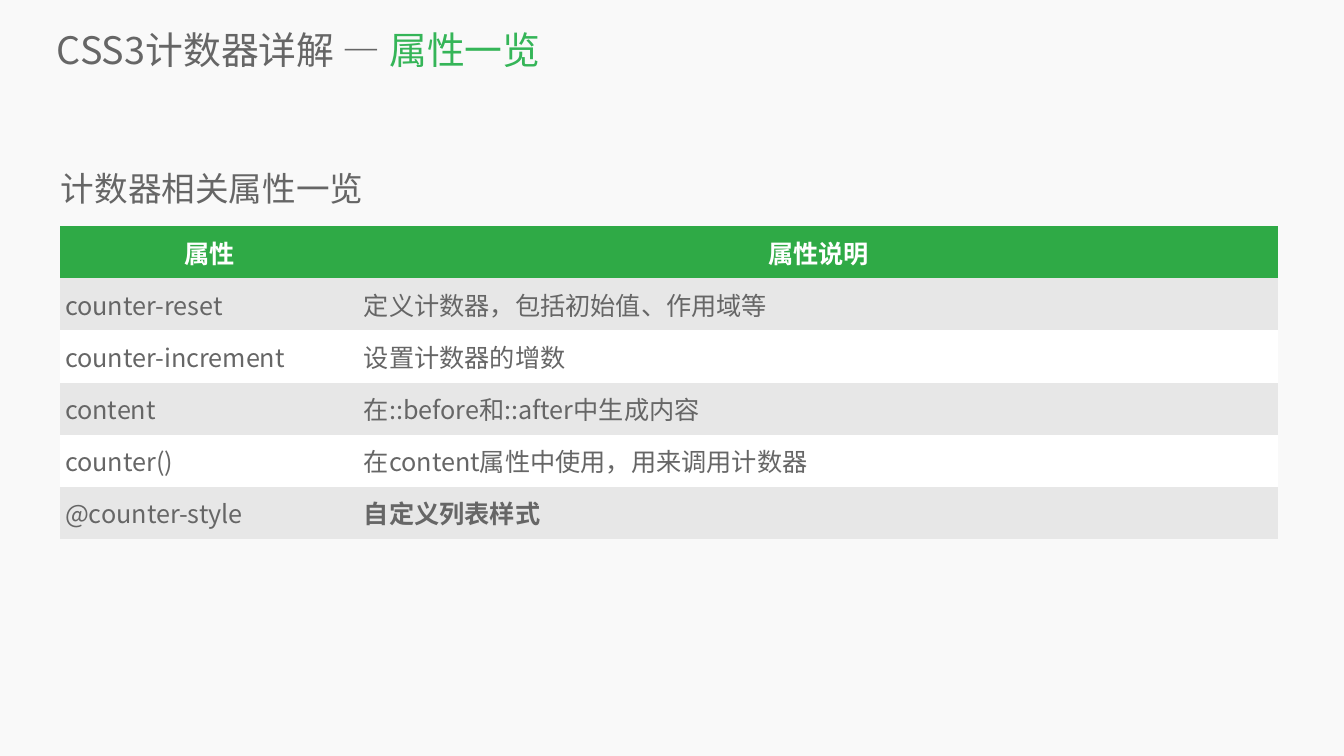
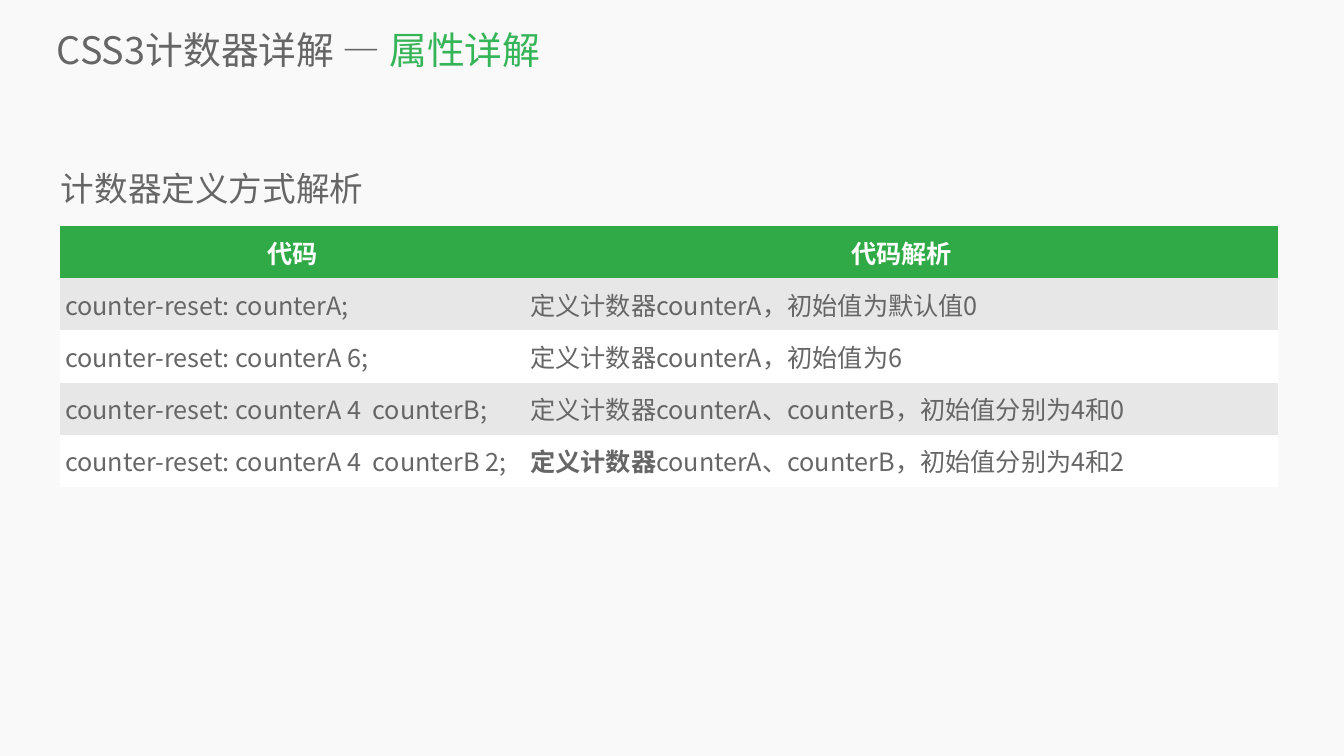
"""Build two slides on CSS counters, each with a title, a heading and a table."""
from pptx import Presentation
from pptx.dml.color import RGBColor
from pptx.enum.lang import MSO_LANGUAGE_ID as Lang
from pptx.enum.text import MSO_ANCHOR as Anchor, MSO_AUTO_SIZE as Fit, PP_ALIGN as Align
from pptx.oxml.ns import qn
from pptx.util import Pt
from lxml.etree import SubElement

FACE = "Noto Sans CJK SC"
GREY, GREEN, LEAF, WHITE = "666666", "2FAA46", "35B558", "FFFFFF"
BANDS = ["E7E7E7", WHITE]
PLAIN = "{2D5ABB26-0587-4C30-8999-92F81FD0307C}"
WIDTH, ROW = 1740.5, 74.4

PAGES = [
    ("属性一览", "计数器相关属性一览", 427, [
        ("属性", "属性说明"),
        ("counter-reset", "定义计数器，包括初始值、作用域等"),
        ("counter-increment", "设置计数器的增数"),
        ("content", "在::before和::after中生成内容"),
        ("counter()", "在content属性中使用，用来调用计数器"),
        ("@counter-style", "自定义列表样式"),
    ], "自定义列表样式"),
    ("属性详解", "计数器定义方式解析", 664.6, [
        ("代码", "代码解析"),
        ("counter-reset: counterA;", "定义计数器counterA，初始值为默认值0"),
        ("counter-reset: counterA 6;", "定义计数器counterA，初始值为6"),
        ("counter-reset: counterA 4  counterB;",
         "定义计数器counterA、counterB，初始值分别为4和0"),
        ("counter-reset: counterA 4  counterB 2;",
         "定义计数器counterA、counterB，初始值分别为4和2"),
    ], "定义计数器"),
]


def tint(code):
    return RGBColor.from_string(code)


def write(frame, text, size=36, color=GREY, bold=False, align=Align.LEFT):
    para = frame.paragraphs[0]
    para.alignment = align
    run = para.add_run()
    run.text = text
    font = run.font
    font.name, font.size, font.bold = FACE, Pt(size), bold
    font.color.rgb = tint(color)
    font.language_id = Lang.SIMPLIFIED_CHINESE
    SubElement(run.font._element, qn("a:ea"), typeface=FACE)


deck = Presentation()
deck.slide_width, deck.slide_height = Pt(1920), Pt(1080)

for topic, head, first, rows, strong in PAGES:
    slide = deck.slides.add_slide(deck.slide_layouts[6])
    back = slide.background.fill
    back.solid()
    back.fore_color.rgb = tint("F9F9F9")

    title = slide.shapes.add_textbox(Pt(81.4), Pt(33.8), Pt(1811.5), Pt(73.4)).text_frame
    title.word_wrap = True
    title.vertical_anchor = Anchor.MIDDLE
    title.margin_left = title.margin_right = title.margin_top = title.margin_bottom = 0
    write(title, "CSS3计数器详解 — ", size=54)
    write(title, topic, size=54, color=LEAF)

    grid = slide.shapes.add_table(len(rows), 2, Pt(85.7), Pt(323.3),
                                  Pt(WIDTH), Pt(ROW * len(rows)))
    next(grid.element.iter(qn("a:tableStyleId"))).text = PLAIN
    table = grid.table
    table.horz_banding = False
    table.columns[0].width, table.columns[1].width = Pt(first), Pt(WIDTH - first)
    for r, row in enumerate(rows):
        table.rows[r].height = Pt(ROW)
        for c, text in enumerate(row):
            cell = table.cell(r, c)
            cell.vertical_anchor = Anchor.MIDDLE
            cell.fill.solid()
            cell.fill.fore_color.rgb = tint(BANDS[(r - 1) % 2] if r else GREEN)
            if r == 0:
                write(cell.text_frame, text, color=WHITE, bold=True, align=Align.CENTER)
            elif r == len(rows) - 1 and c == 1:
                write(cell.text_frame, strong, bold=True)
                rest = text.removeprefix(strong)
                if rest:
                    write(cell.text_frame, rest)
            else:
                write(cell.text_frame, text)

    label = slide.shapes.add_textbox(Pt(64.8), Pt(213.8), Pt(465.8), Pt(88.6)).text_frame
    label.word_wrap = False
    label.auto_size = Fit.SHAPE_TO_FIT_TEXT
    label.paragraphs[0].line_spacing = 1.4
    write(label, head, size=48)
    props = label.paragraphs[0]._p.get_or_add_pPr()
    props.set("marL", str(Pt(15.1)))
    props.set("indent", "0")

deck.save("out.pptx")
